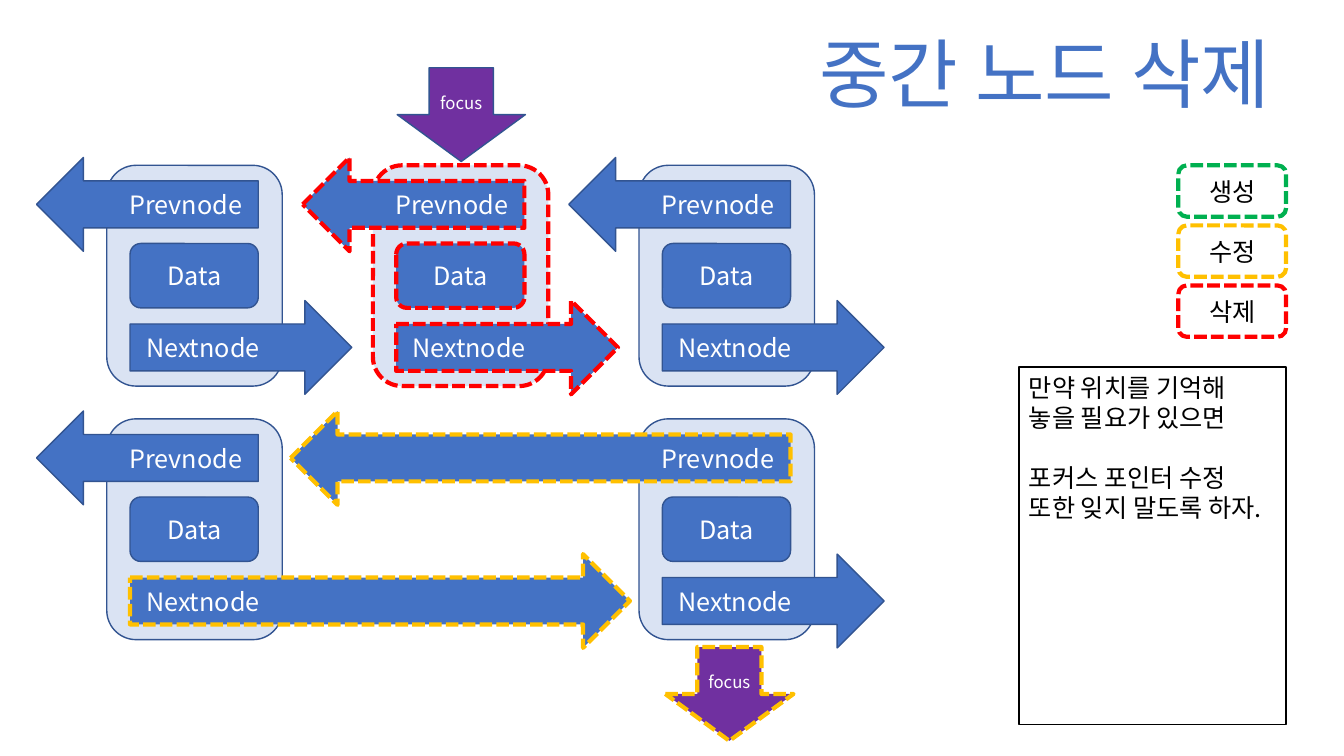
from dataclasses import dataclass
from pptx import Presentation
from pptx.dml.color import RGBColor
from pptx.enum.dml import MSO_LINE
from pptx.enum.shapes import MSO_SHAPE as Preset
from pptx.enum.text import MSO_ANCHOR as Anchor, PP_ALIGN as Align
from pptx.oxml.ns import qn
from pptx.util import Pt


@dataclass(frozen=True)
class Theme:
    font: str = "Noto Sans CJK KR"
    white: str = "FFFFFF"
    black: str = "000000"
    blue: str = "4472C4"
    outline: str = "325491"
    node: str = "DAE3F3"
    focus: str = "7030A0"
    create: str = "00B050"
    modify: str = "FFC000"
    delete: str = "FF0000"
    title_size: int = 54
    body_size: int = 18
    focus_size: int = 12


theme = Theme()


def write(frame, lines, color, size=theme.body_size, align=Align.CENTER):
    frame.word_wrap = True
    frame.text = "\n".join(lines)
    for paragraph in frame.paragraphs:
        paragraph.alignment = align
        paragraph.font.size = Pt(size)
        paragraph.font.name = theme.font
        paragraph.font.color.rgb = RGBColor.from_string(color)
        for run in paragraph.runs:
            east_asian = run._r.get_or_add_rPr().makeelement(qn("a:ea"), {"typeface": theme.font})
            run._r.get_or_add_rPr().append(east_asian)


def draw(preset, box, fill, mark=None, line=theme.outline):
    shape = slide.shapes.add_shape(preset, *map(Pt, box))
    shape.shadow.inherit = False
    if fill:
        shape.fill.solid()
        shape.fill.fore_color.rgb = RGBColor.from_string(fill)
    else:
        shape.fill.background()
    shape.line.color.rgb = RGBColor.from_string(mark or line)
    shape.line.width = Pt(3 if mark else 1)
    if mark:
        shape.line.dash_style = MSO_LINE.SQUARE_DOT
    shape.text_frame.vertical_anchor = Anchor.MIDDLE
    return shape


prs = Presentation()
prs.slide_width, prs.slide_height = Pt(960), Pt(540)
slide = prs.slides.add_slide(prs.slide_layouts[6])

title = slide.shapes.add_textbox(Pt(545.8), Pt(15.8), Pt(401), Pt(72.7))
write(title.text_frame, ["중간 노드 삭제"], theme.blue, theme.title_size)

node_left, node_top, column_step, row_step = 76.3, 118.1, 190.1, 181.1
node_width, node_height = 125.3, 157.7
inset, data_width, arrow_height = 16.6, 91.6, 67
short, long, label_margin = 158.4, 357.1, 11.5

nodes = [
    (0, 0, None, short, None, short, None),
    (1, 0, theme.delete, short, theme.delete, short, theme.delete),
    (2, 0, None, short, None, short, None),
    (0, 1, None, short, None, long, theme.modify),
    (2, 1, None, long, theme.modify, short, None),
]
for column, row, node_mark, prev_width, prev_mark, next_width, next_mark in nodes:
    left = node_left + column * column_step
    top = node_top + row * row_step
    inner_left = left + inset
    inner_right = inner_left + data_width

    draw(Preset.ROUNDED_RECTANGLE, (left, top, node_width, node_height), theme.node, node_mark)

    data = draw(Preset.ROUNDED_RECTANGLE, (inner_left, top + 55.8, data_width, 46), theme.blue, node_mark)
    write(data.text_frame, ["Data"], theme.white)

    next_box = (inner_left, top + 96.6, next_width, arrow_height)
    next_node = draw(Preset.RIGHT_ARROW, next_box, theme.blue, next_mark)
    next_node.text_frame.margin_left = Pt(label_margin)
    write(next_node.text_frame, ["Nextnode"], theme.white, align=Align.LEFT)

    prev_box = (inner_right - prev_width, top - 5.6, prev_width, arrow_height)
    prev_node = draw(Preset.LEFT_ARROW, prev_box, theme.blue, prev_mark)
    prev_node.text_frame.margin_right = Pt(label_margin)
    write(prev_node.text_frame, ["Prevnode"], theme.white, align=Align.RIGHT)

for focus_left, focus_top, focus_mark in [(283.7, 48.4, None), (475.2, 462.2, theme.modify)]:
    focus_box = (focus_left, focus_top, data_width, arrow_height)
    focus = draw(Preset.DOWN_ARROW, focus_box, theme.focus, focus_mark)
    write(focus.text_frame, ["focus"], theme.white, theme.focus_size)

legend = [("생성", theme.create), ("수정", theme.modify), ("삭제", theme.delete)]
for index, (action, mark) in enumerate(legend):
    legend_box = (841.7, node_top + index * 42.9, 77, 36.7)
    key = draw(Preset.ROUNDED_RECTANGLE, legend_box, None, mark)
    write(key.text_frame, [action], theme.black)

reminder = draw(Preset.RECTANGLE, (727.9, 262.1, 190.8, 255.6), theme.white, line=theme.black)
reminder.text_frame.vertical_anchor = Anchor.TOP
reminder_lines = [
    "만약 위치를 기억해 놓을 필요가 있으면",
    "포커스 포인터 수정 또한 잊지 말도록 하자.",
]
write(reminder.text_frame, reminder_lines, theme.black, align=Align.LEFT)
reminder.text_frame.paragraphs[1].space_before = Pt(21.5)

prs.save("out.pptx")
